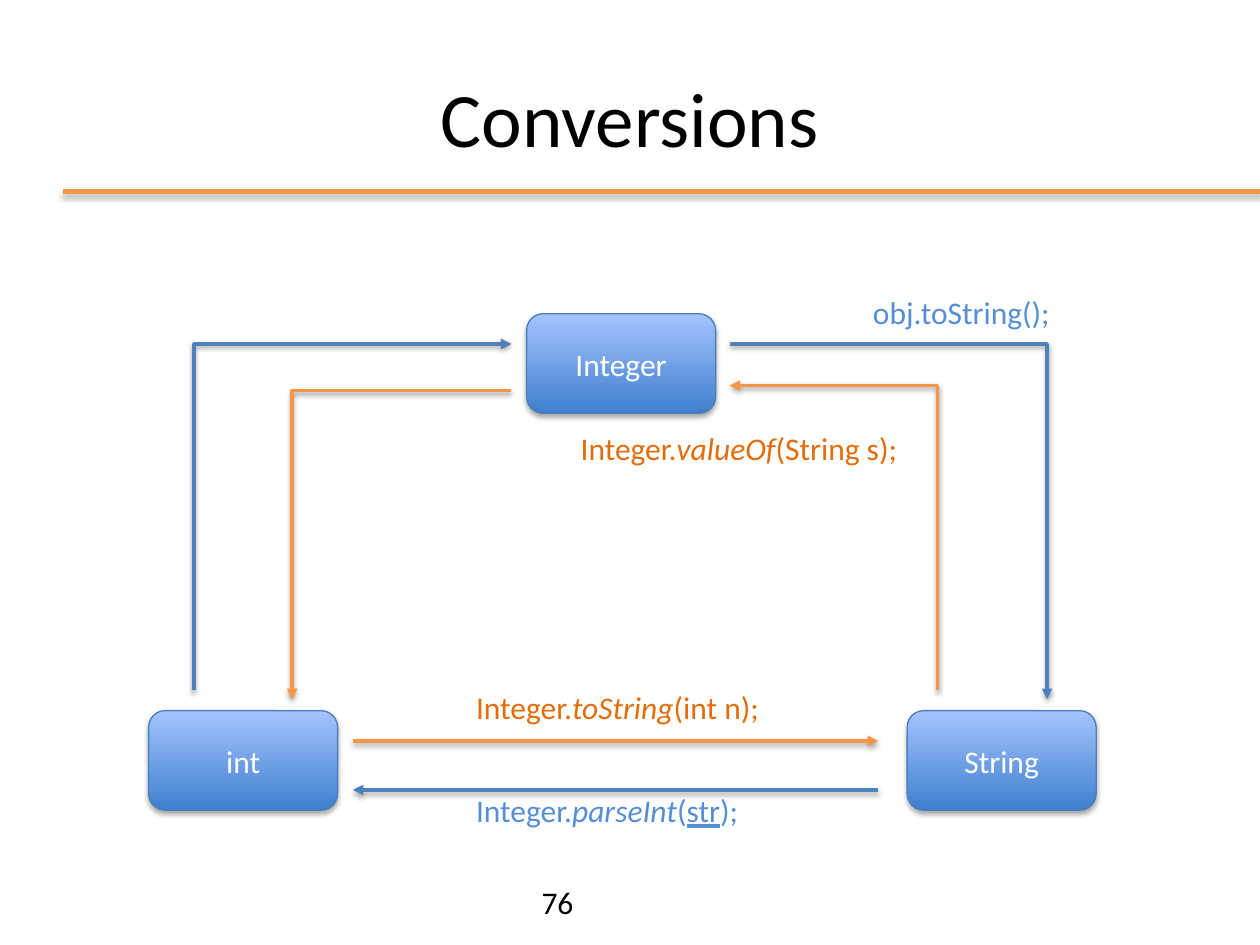
from lxml import etree
from pptx import Presentation
from pptx import util as u
from pptx.dml.color import RGBColor
from pptx.enum import shapes, text
from pptx.oxml import ns

COLORS = {
    "black": "000000",
    "white": "FFFFFF",
    "blue_line": "4F81BD",
    "blue_text": "558ED5",
    "orange_line": "F79646",
    "orange_text": "E46C0A",
    "box_border": "4B7EBC",
    "box_bottom": "3F80CE",
    "box_top": "A4C4FF",
}


def rgb(name):
    """Return the named palette colour."""
    return RGBColor.from_string(COLORS[name])


def add_text(paragraph, content, size=18, color="black", italic=False, underline=False):
    """Append one formatted run to a paragraph."""
    run = paragraph.add_run()
    run.text = content
    font = run.font
    font.name = "Calibri"
    font.size = u.Pt(size)
    font.color.rgb = rgb(color)
    font.italic = italic
    font.underline = underline


def add_child(parent, tag, **attributes):
    """Append a DrawingML element and return it."""
    values = {key: str(value) for key, value in attributes.items()}
    return etree.SubElement(parent, ns.qn(tag), values)


def add_shadow(properties, distance, opacity):
    """Give shape properties a soft shadow that falls straight down."""
    effects = add_child(properties, "a:effectLst")
    shadow = add_child(effects, "a:outerShdw", blurRad=u.Pt(3.1), dist=u.Pt(distance),
                       dir=5400000, rotWithShape=0)
    color = add_child(shadow, "a:srgbClr", val=COLORS["black"])
    add_child(color, "a:alpha", val=opacity * 1000)


class ConversionSlide:
    """Style and drawing methods for the current slide."""

    box_size = (1.5, 0.79)
    line_width = 2

    def __init__(self, presentation):
        self.slide = presentation.slides.add_slide(presentation.slide_layouts[6])

    def label(self, left, top, width, height, runs, align=text.PP_ALIGN.LEFT,
              anchor=text.MSO_ANCHOR.TOP, **style):
        """Add a text box of (text, format) runs that share a style."""
        shape = self.slide.shapes.add_textbox(*map(u.Inches, (left, top, width, height)))
        frame = shape.text_frame
        frame.word_wrap = True
        frame.vertical_anchor = anchor
        paragraph = frame.paragraphs[0]
        paragraph.alignment = align
        for content, extra in runs:
            add_text(paragraph, content, **style, **extra)

    def box(self, left, top, name):
        """Add a rounded type box with a vertical gradient."""
        shape = self.slide.shapes.add_shape(
            shapes.MSO_SHAPE.ROUNDED_RECTANGLE,
            *map(u.Inches, (left, top, *self.box_size)))
        shape.fill.gradient()
        shape.fill.gradient_angle = 90
        for stop, position, color in zip(shape.fill.gradient_stops, (0, 1),
                                         ("box_bottom", "box_top")):
            stop.position = position
            stop.color.rgb = rgb(color)
        shape.line.color.rgb = rgb("box_border")
        shape.line.width = u.Pt(0.75)
        add_shadow(shape._element.spPr, 1.8, 35)
        shape.text_frame.vertical_anchor = text.MSO_ANCHOR.MIDDLE
        paragraph = shape.text_frame.paragraphs[0]
        paragraph.alignment = text.PP_ALIGN.CENTER
        add_text(paragraph, name, color="white")

    def line(self, start, end, color, width=line_width, arrow=None, distance=1.6,
             opacity=38, kind=shapes.MSO_CONNECTOR.STRAIGHT):
        """Add a line, with an arrowhead if an end is named."""
        connector = self.slide.shapes.add_connector(kind, *map(u.Inches, (*start, *end)))
        connector.line.color.rgb = rgb(color)
        connector.line.width = u.Pt(width)
        properties = connector._element.spPr
        if arrow:
            add_child(properties.find(ns.qn("a:ln")), arrow, type="triangle")
        add_shadow(properties, distance, opacity)
        return connector

    def elbow(self, start, end, color, arrow):
        """Add a line that runs across from start, then down to end."""
        connector = self.line(start, end, color, arrow=arrow,
                              kind=shapes.MSO_CONNECTOR.ELBOW)
        connector.adjustments = None
        guides = connector._element.spPr.find(ns.qn("a:prstGeom")).find(ns.qn("a:avLst"))
        add_child(guides, "a:gd", name="adj1", fmla="val 100000")


def main():
    """Build the slide of conversions between int, Integer and String."""
    presentation = Presentation()
    presentation.slide_width, presentation.slide_height = u.Inches(10), u.Inches(7.5)
    page = ConversionSlide(presentation)
    plain, italic = {}, {"italic": True}
    at_start, at_end = "a:headEnd", "a:tailEnd"

    page.line((0.5, 1.52), (10, 1.52), "orange_line", width=3, distance=1.8, opacity=35)
    page.label(0.5, 0.3, 9, 1.25, [("Conversions", plain)], size=44,
               align=text.PP_ALIGN.CENTER, anchor=text.MSO_ANCHOR.MIDDLE)
    page.label(4.2, 6.96, 5.3, 0.4, [("76", plain)])

    for left, top, name in ((1.18, 5.64, "int"), (4.18, 2.49, "Integer"),
                            (7.2, 5.64, "String")):
        page.box(left, top, name)

    for start, end, color, arrow in (
        ((5.79, 2.73), (8.31, 5.55), "blue_line", at_end),
        ((4.06, 2.73), (1.54, 5.48), "blue_line", at_start),
        ((4.06, 3.1), (2.32, 5.55), "orange_line", at_end),
        ((5.79, 3.06), (7.44, 5.48), "orange_line", at_start),
    ):
        page.elbow(start, end, color, arrow)
    page.line((6.97, 6.27), (2.8, 6.27), "blue_line", arrow=at_end)
    page.line((2.8, 5.88), (6.97, 5.88), "orange_line", arrow=at_end)

    page.label(3.68, 6.23, 2.48, 0.71,
               [("Integer.", plain), ("parseInt", italic), ("(", plain),
                ("str", {"underline": True}), (");", plain)], color="blue_text")
    page.label(6.83, 2.28, 2.25, 0.71, [("obj.toString();", plain)], color="blue_text")
    for left, top, width, method, arguments in (
        (3.68, 5.41, 2.66, "toString", "(int n);"),
        (4.51, 3.36, 2.79, "valueOf", "(String s);"),
    ):
        page.label(left, top, width, 0.4,
                   [("Integer.", plain), (method, italic), (arguments, plain)],
                   color="orange_text")

    presentation.save("out.pptx")


if __name__ == "__main__":
    main()
